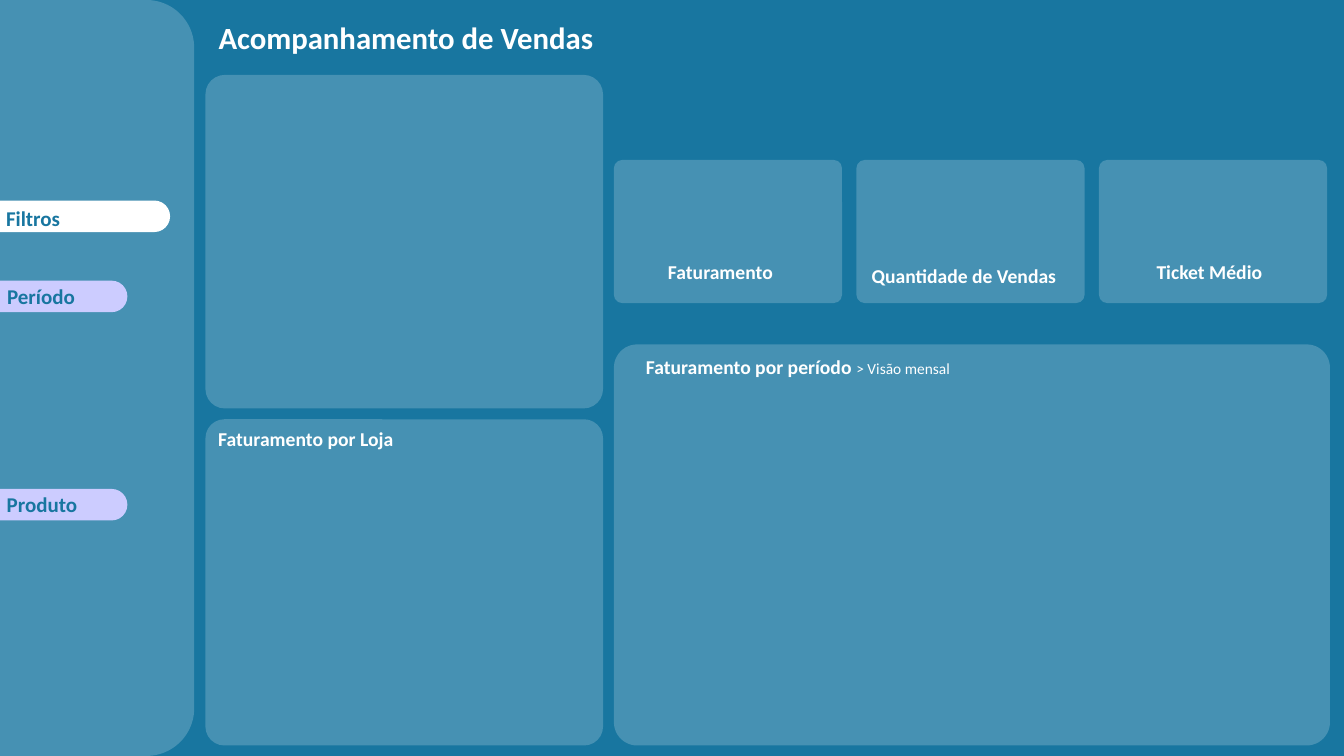
from pptx import Presentation
from pptx.util import Pt
from pptx.dml.color import RGBColor
from pptx.enum.shapes import MSO_SHAPE as Shape

DEEP = RGBColor(0x18, 0x76, 0xA0)
PANEL = RGBColor(0x46, 0x91, 0xB3)
LILAC = RGBColor(0xCC, 0xCC, 0xFF)
WHITE = RGBColor(0xFF, 0xFF, 0xFF)
FONT = "Calibri"
WIDE, HIGH = 960, 540


def block(slide, box, color, round_by=None):
    """Flat block; round_by is the corner ratio, None gives square corners."""
    kind = Shape.RECTANGLE if round_by is None else Shape.ROUNDED_RECTANGLE
    shape = slide.shapes.add_shape(kind, *map(Pt, box))
    if round_by is not None:
        shape.adjustments[0] = round_by
    shape.shadow.inherit = False
    shape.fill.solid()
    shape.fill.fore_color.rgb = color
    shape.line.fill.background()
    return shape


def label(slide, box, text, size, color=WHITE, note=None, note_size=11):
    """Bold label, with an optional lighter note after it."""
    frame = slide.shapes.add_textbox(*map(Pt, box)).text_frame
    frame.word_wrap = True
    line = frame.paragraphs[0]
    line.text = text
    if note:
        line.add_run().text = note
    for i, run in enumerate(line.runs):
        run.font.name = FONT
        run.font.size = Pt(note_size if i else size)
        run.font.bold = i == 0
        run.font.color.rgb = color


def sidebar(slide, box):
    left, top, wide, high = box
    # The left corners bleed past the slide edge
    bleed = 65.5
    block(slide, (left - bleed, top, wide + bleed, high), PANEL, 0.167)
    # Filter tabs: text, top, width, fill, text left, text drop
    tabs = [
        ("Filtros", 143.25, 121.5, WHITE, -2.75, 0),
        ("Período", 200.5, 91, LILAC, -2, -1.75),
        ("Produto", 349.25, 91, LILAC, -2.25, -2),
    ]
    for text, y, width, fill, indent, drop in tabs:
        block(slide, (left - 12, top + y, width + 12, 22.5), fill, 0.5)
        label(slide, (left + indent, top + y + drop, 100, 25), text, 15, DEEP)


def card(slide, box, text=None, dx=2, dy=2, note=None):
    """Rounded panel with its label offset from the top left corner."""
    left, top, wide, high = box
    block(slide, box, PANEL, 0.058)
    if text:
        label(slide, (left + dx, top + dy, wide - dx, 24), text, 14, note=note)


def metrics(slide, box):
    left, top, wide, high = box
    gap = 10.25
    width = (wide - 2 * gap) / 3
    items = [("Faturamento", 31.5, 67.75),
             ("Quantidade de Vendas", 3.75, 70.5),
             ("Ticket Médio", 34, 67.75)]
    for i, (text, dx, dy) in enumerate(items):
        x = left + i * (width + gap)
        card(slide, (x, top, width, high), text, dx, dy)


def dashboard(slide, box):
    left, top, wide, high = box
    block(slide, box, DEEP)
    sidebar(slide, (left, top, 138.75, high))
    label(slide, (left + 149, top + 10, 290, 34), "Acompanhamento de Vendas", 22)
    # Middle column
    col = left + 146.75
    card(slide, (col, top + 53.5, 284, 238.25))
    card(slide, (col, top + 299.5, 284, 233), "Faturamento por Loja")
    # Right column
    col = left + 438.5
    metrics(slide, (col, top + 114.25, 509.5, 102.25))
    card(slide, (col, top + 246, 511.5, 286.5), "Faturamento por período ",
         15.75, 4, "> Visão mensal")


deck = Presentation()
deck.slide_width, deck.slide_height = Pt(WIDE), Pt(HIGH)
page = deck.slides.add_slide(deck.slide_layouts[6])
dashboard(page, (0, 0, WIDE, HIGH))
deck.save("out.pptx")
